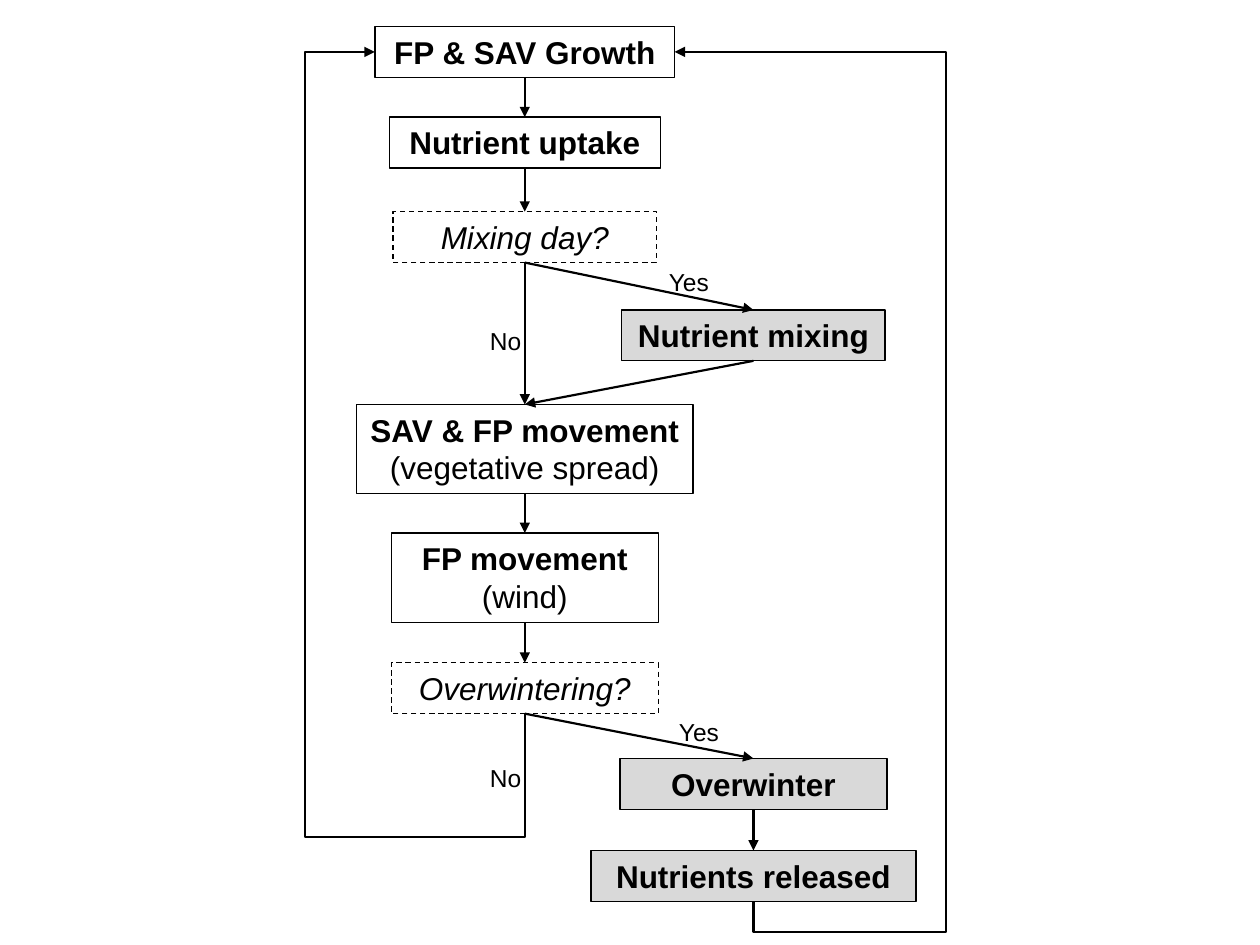
import pptx
import pptx.util
import pptx.dml.color
import pptx.enum.dml
import pptx.enum.shapes
import pptx.enum.text
import pptx.oxml.ns
from dataclasses import dataclass
from lxml import etree

COLS, ROWS = 100, 75
MAIN, SIDE = 41.65, 59.8  # centre columns of the two flows
TOP, BOTTOM = 0, 2        # connection sites of a rectangle


@dataclass
class Theme:
    font: str = "Arial"
    ink: str = "000000"
    shade: str = "D9D9D9"
    box_size: float = 18
    label_size: float = 14
    outline: float = 0.75
    arrow: float = 1.25


class Flowchart:
    def __init__(self, prs, theme):
        self.theme = theme
        self.col = prs.slide_width / COLS
        self.row = prs.slide_height / ROWS
        self.s = prs.slides.add_slide(prs.slide_layouts[6])

    def x(self, cols):
        return round(cols * self.col)

    def y(self, rows):
        return round(rows * self.row)

    def rgb(self, value):
        return pptx.dml.color.RGBColor.from_string(value)

    def style_font(self, font, size):
        font.name = self.theme.font
        font.size = pptx.util.Pt(size)
        font.color.rgb = self.rgb(self.theme.ink)

    def box(self, centre, top, width, title, detail=None, question=False, shaded=False):
        """Step, or dashed question, centred on a column."""
        sp = self.s.shapes.add_shape(
            pptx.enum.shapes.MSO_SHAPE.RECTANGLE, self.x(centre - width / 2),
            self.y(top), self.x(width), self.y(7.1 if detail else 4.04))
        sp.shadow.inherit = False
        if shaded:
            sp.fill.solid()
            sp.fill.fore_color.rgb = self.rgb(self.theme.shade)
        else:
            sp.fill.background()
        sp.line.color.rgb = self.rgb(self.theme.ink)
        sp.line.width = pptx.util.Pt(self.theme.outline)
        if question:
            sp.line.dash_style = pptx.enum.dml.MSO_LINE.DASH
        tf = sp.text_frame
        tf.word_wrap = True
        tf.auto_size = pptx.enum.text.MSO_AUTO_SIZE.SHAPE_TO_FIT_TEXT
        tf.vertical_anchor = pptx.enum.text.MSO_ANCHOR.TOP
        p = tf.paragraphs[0]
        p.alignment = pptx.enum.text.PP_ALIGN.CENTER
        runs = [(title, not question)] + ([(detail, False)] if detail else [])
        for i, (text, bold) in enumerate(runs):
            if i:
                p.add_line_break()
            r = p.add_run()
            r.text = text
            self.style_font(r.font, self.theme.box_size)
            r.font.bold = bold
            r.font.italic = question
        return sp

    def label(self, left, top, width, text):
        sp = self.s.shapes.add_textbox(
            self.x(left), self.y(top), self.x(width), self.y(3.4))
        tf = sp.text_frame
        tf.word_wrap = True
        tf.auto_size = pptx.enum.text.MSO_AUTO_SIZE.SHAPE_TO_FIT_TEXT
        p = tf.paragraphs[0]
        p.text = text
        self.style_font(p.font, self.theme.label_size)

    def style_arrow(self, line):
        line.line.color.rgb = self.rgb(self.theme.ink)
        line.line.width = pptx.util.Pt(self.theme.arrow)
        qn = pptx.oxml.ns.qn
        etree.SubElement(line.line._get_or_add_ln(), qn("a:tailEnd"), type="triangle")
        etree.SubElement(line._element.spPr, qn("a:effectLst"))

    def arrow(self, start, end):
        line = self.s.shapes.add_connector(
            pptx.enum.shapes.MSO_CONNECTOR.STRAIGHT, 0, 0, 0, 0)
        line.begin_connect(start, BOTTOM)
        line.end_connect(end, TOP)
        self.style_arrow(line)

    def loop(self, start, end, lane, low):
        """Run from the foot of start down to row low, along column lane, into end's side."""
        x1, y1 = start.left + start.width // 2, start.top + start.height
        x2 = end.left if self.x(lane) < end.left else end.left + end.width
        y2 = end.top + end.height // 2
        length, breadth = y1 - y2, x1 - x2
        # A four-part elbow turned a quarter and mirrored starts downwards
        left = (x1 + x2 - length) // 2
        top = (y1 + y2 - breadth) // 2
        line = self.s.shapes.add_connector(
            pptx.enum.shapes.MSO_CONNECTOR.ELBOW, left, top, left + length, top + breadth)
        qn = pptx.oxml.ns.qn
        frame = line._element.spPr.find(qn("a:xfrm"))
        frame.set("rot", "5400000")
        frame.set("flipH", "1")
        geometry = line._element.spPr.find(qn("a:prstGeom"))
        geometry.set("prst", "bentConnector4")
        guides = geometry.find(qn("a:avLst"))
        if guides is None:
            guides = etree.SubElement(geometry, qn("a:avLst"))
        shares = ((y1 - self.y(low)) / length, (x1 - self.x(lane)) / breadth)
        for i, share in enumerate(shares, 1):
            etree.SubElement(guides, qn("a:gd"), name=f"adj{i}",
                             fmla=f"val {round(share * 100000)}")
        self.style_arrow(line)


def main():
    prs = pptx.Presentation()
    prs.slide_width = pptx.util.Inches(10)
    prs.slide_height = pptx.util.Inches(7.5)
    chart = Flowchart(prs, Theme())

    # Main flow
    growth = chart.box(MAIN, 2.1, 23.8, "FP & SAV Growth")
    uptake = chart.box(MAIN, 9.3, 21.5, "Nutrient uptake")
    mixing_day = chart.box(MAIN, 16.8, 20.9, "Mixing day?", question=True)
    spread = chart.box(MAIN, 32.1, 26.7, "SAV & FP movement", "(vegetative spread)")
    wind = chart.box(MAIN, 42.3, 21.2, "FP movement", "(wind)")
    overwintering = chart.box(MAIN, 52.6, 21.2, "Overwintering?", question=True)

    # Side steps
    mixing = chart.box(SIDE, 24.6, 20.9, "Nutrient mixing", shaded=True)
    overwinter = chart.box(SIDE, 60.2, 21.2, "Overwinter", shaded=True)
    released = chart.box(SIDE, 67.5, 25.8, "Nutrients released", shaded=True)

    # Arrows
    flow = [growth, uptake, mixing_day, spread, wind, overwintering]
    branch = [mixing_day, mixing, spread]
    winter = [overwintering, overwinter, released]
    for steps in (flow, branch, winter):
        for start, end in zip(steps, steps[1:]):
            chart.arrow(start, end)

    # Returns to growth
    chart.loop(overwintering, growth, lane=24.2, low=66.4)
    chart.loop(released, growth, lane=75.1, low=74)

    # Answers
    for left, top, width, text in [(37.9, 25.4, 6.8, "No"), (52.1, 20.7, 7.4, "Yes"),
                                   (37.9, 60.1, 6.8, "No"), (52.9, 56.4, 7.4, "Yes")]:
        chart.label(left, top, width, text)

    prs.save("out.pptx")


if __name__ == "__main__":
    main()
